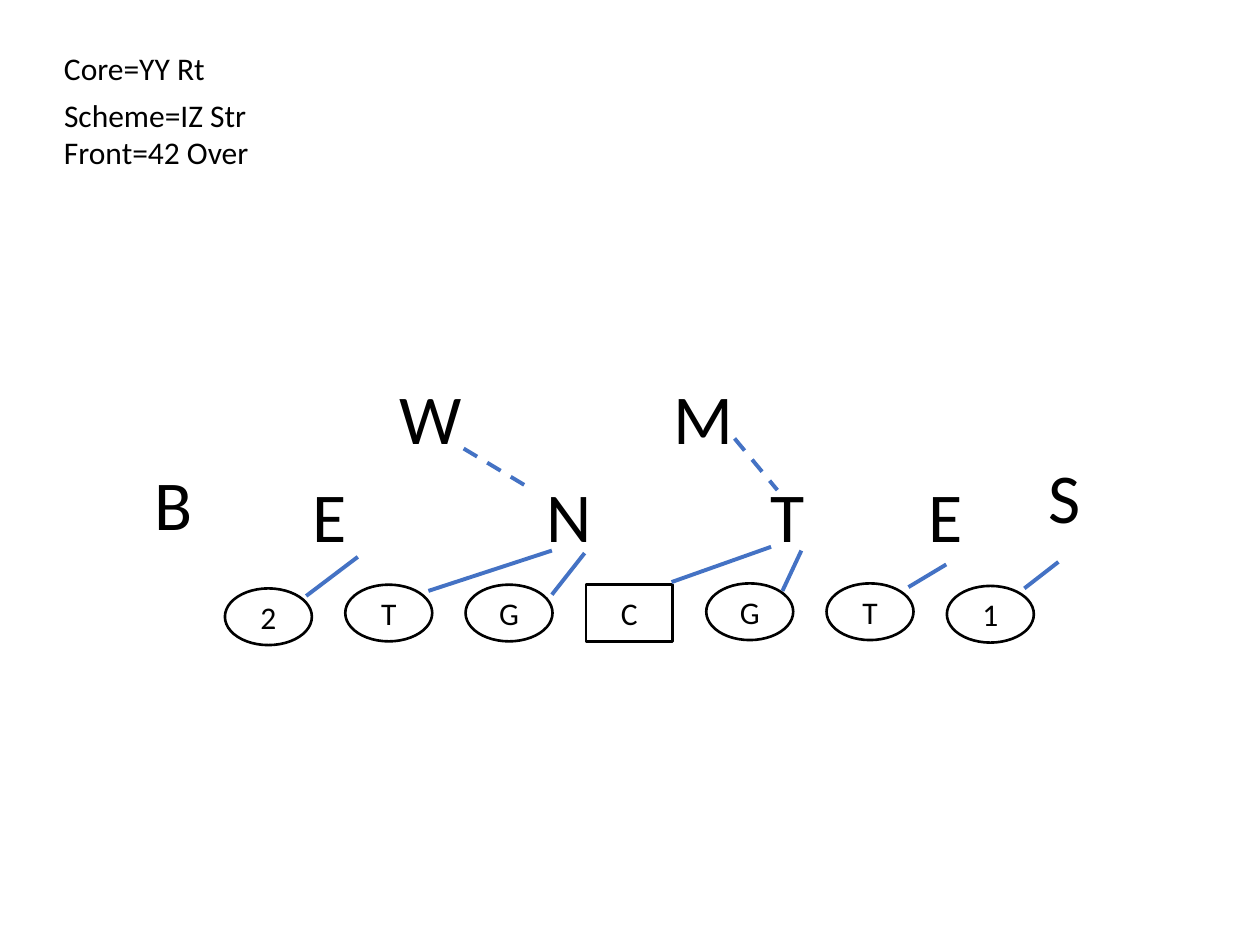
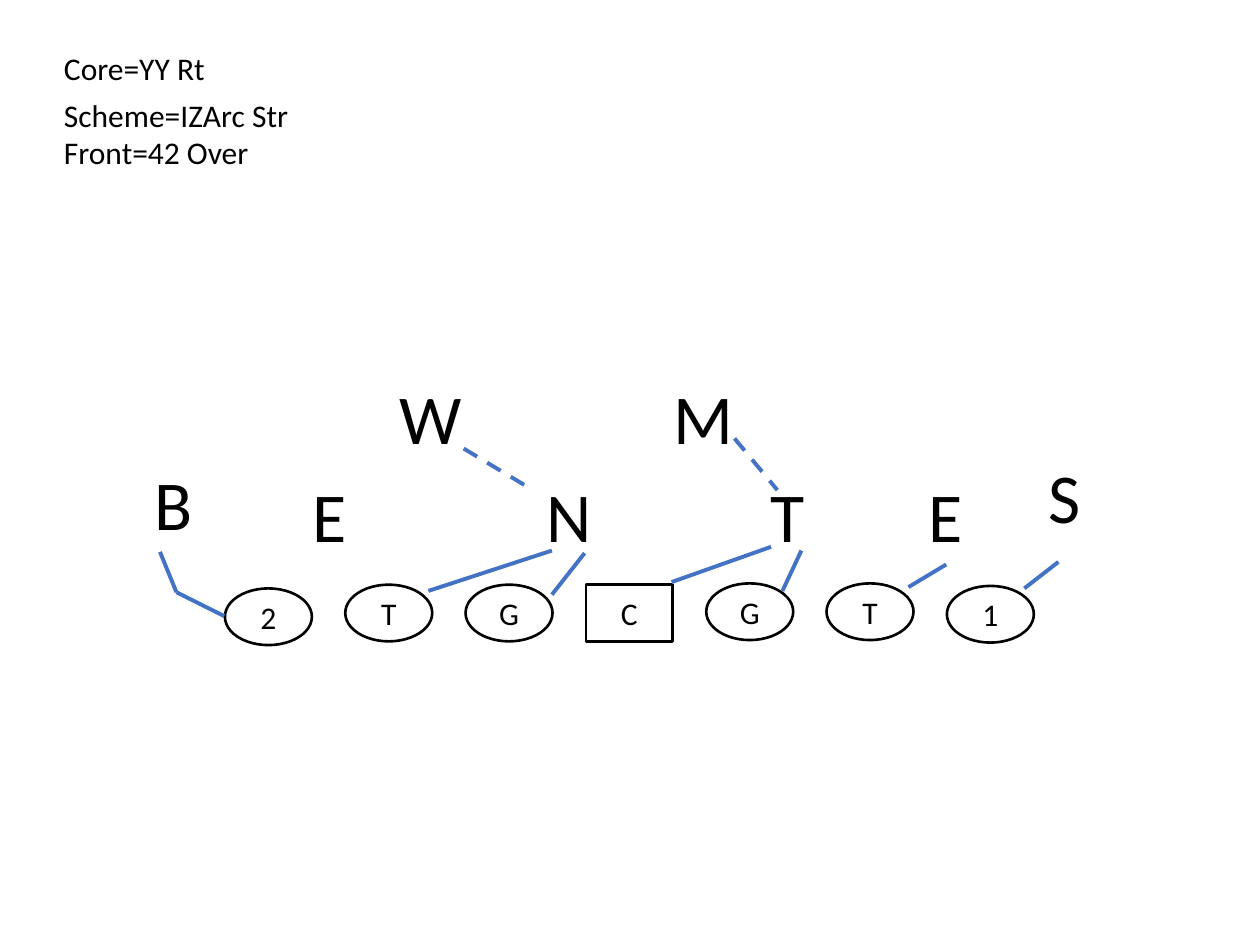
from pptx import Presentation
from pptx.dml.color import RGBColor
from pptx.enum.dml import MSO_LINE
from pptx.enum.shapes import MSO_CONNECTOR, MSO_SHAPE
from pptx.enum.text import MSO_ANCHOR, MSO_AUTO_SIZE, PP_ALIGN
from pptx.oxml.ns import qn
from pptx.util import Inches, Pt

STRAIGHT = MSO_CONNECTOR.STRAIGHT
DASH = MSO_LINE.DASH
OVAL, RECTANGLE = MSO_SHAPE.OVAL, MSO_SHAPE.RECTANGLE
MIDDLE = MSO_ANCHOR.MIDDLE
FIT_SHAPE = MSO_AUTO_SIZE.SHAPE_TO_FIT_TEXT
LEFT, CENTER = PP_ALIGN.LEFT, PP_ALIGN.CENTER

BLACK = RGBColor(0x00, 0x00, 0x00)
WHITE = RGBColor(0xFF, 0xFF, 0xFF)
BLUE = RGBColor(0x44, 0x72, 0xC4)
FONT = "Calibri"

# The slide is a grid of 100 columns by 75 rows
SLIDE_WIDTH, SLIDE_HEIGHT = Inches(10), Inches(7.5)
COLUMN, ROW = SLIDE_WIDTH / 100, SLIDE_HEIGHT / 75

# Origins of the two regions, in columns and rows
CALL_ORIGIN = (4.1, 3.4)
FIELD_ORIGIN = (10, 29)

# Offensive line: label and row, evenly spaced from left to right
LINEMEN = [("2", 17.7), ("T", 17.4), ("G", 17.4), ("C", 17.4),
           ("G", 17.3), ("T", 17.3), ("1", 17.5)]
LINE_START, LINE_PITCH = 7.85, 9.55
LINEMAN_WIDTH, LINEMAN_HEIGHT = 6.9, 4.5

# Defenders: label, column, row, width
DEFENDERS = [("W", 20.7, 0.2, 7), ("M", 42.5, 0.2, 7),
             ("B", 1.3, 7.1, 5.1), ("E", 13.8, 8, 4.8),
             ("N", 32.4, 8, 5.6), ("T", 50.2, 8, 4.8),
             ("E", 62.7, 8, 4.8), ("S", 72.2, 6.5, 4.8)]
DEFENDER_HEIGHT = 7.7

# Assignments, as points on the field
SHARED_BLOCKS = [[(74, 15.6), (71.3, 17.7)], [(65.1, 15.8), (62.1, 17.6)],
                 [(53.6, 14.7), (52.1, 17.9)], [(51.2, 14.4), (43.3, 17.2)],
                 [(36.4, 14.9), (33.8, 18.2)], [(33.8, 14.7), (24, 17.9)]]
CLIMBS = [[(48.3, 5.8), (51.7, 9.9)], [(26.8, 6.6), (31.8, 9.6)]]
BASE_BLOCK = [(18.4, 15.2), (14.3, 18.3)]
ARC_BLOCK = [(7.8, 19.9), (4, 18), (2.7, 14.8)]

# Plays: scheme, width of its label, route of player 2
PLAYS = [("Scheme=IZ Str", 17.2, BASE_BLOCK),
         ("Scheme=IZArc Str", 20, ARC_BLOCK)]


def place(origin, column, row):
    """Turn a grid point within a region into a point on the slide."""
    return round((origin[0] + column) * COLUMN), round((origin[1] + row) * ROW)


def write(frame, text, size=18, align=LEFT):
    para = frame.paragraphs[0]
    para.alignment = align
    span = para.add_run()
    span.text = text
    span.font.name = FONT
    span.font.size = Pt(size)
    span.font.color.rgb = BLACK


def add_label(page, origin, text, column, row, width, height, **style):
    box = page.shapes.add_textbox(*place(origin, column, row),
                                  round(width * COLUMN), round(height * ROW))
    box.text_frame.word_wrap = False
    box.text_frame.auto_size = FIT_SHAPE
    write(box.text_frame, text, **style)


def add_lineman(page, origin, text, column, row):
    kind = RECTANGLE if text == "C" else OVAL
    player = page.shapes.add_shape(kind, *place(origin, column, row),
                                   round(LINEMAN_WIDTH * COLUMN),
                                   round(LINEMAN_HEIGHT * ROW))
    player.shadow.inherit = False
    player.fill.solid()
    player.fill.fore_color.rgb = WHITE
    player.line.color.rgb = BLACK
    player.line.width = Pt(1.5)
    player.text_frame.vertical_anchor = MIDDLE
    write(player.text_frame, text, align=CENTER)


def add_route(page, origin, points, dash=None):
    """Join successive points with straight connectors."""
    for start, end in zip(points, points[1:]):
        line = page.shapes.add_connector(STRAIGHT, *place(origin, *start),
                                         *place(origin, *end))
        line.line.color.rgb = BLUE
        line.line.width = Pt(2.25)
        if dash:
            line.line.dash_style = dash
        properties = line._element.spPr
        properties.append(properties.makeelement(qn("a:effectLst"), {}))


def add_call(page, origin, scheme, scheme_width):
    """Core, scheme and front, one under the other."""
    for text, row, width in [("Core=YY Rt", 0, 13.3),
                             (scheme, 3.7, scheme_width),
                             ("Front=42 Over", 6.7, 17.4)]:
        add_label(page, origin, text, 0, row, width, 4)


def add_field(page, origin, second_route):
    """Both teams and the blocking assignments."""
    for index, (text, row) in enumerate(LINEMEN):
        add_lineman(page, origin, text, LINE_START + index * LINE_PITCH, row)
    for text, column, row, width in DEFENDERS:
        add_label(page, origin, text, column, row, width, DEFENDER_HEIGHT, size=40)
    for points in SHARED_BLOCKS + [second_route]:
        add_route(page, origin, points)
    for points in CLIMBS:
        add_route(page, origin, points, dash=DASH)


def main():
    deck = Presentation()
    deck.slide_width, deck.slide_height = SLIDE_WIDTH, SLIDE_HEIGHT
    blank = deck.slide_layouts[6]
    for scheme, scheme_width, second_route in PLAYS:
        page = deck.slides.add_slide(blank)
        add_call(page, CALL_ORIGIN, scheme, scheme_width)
        add_field(page, FIELD_ORIGIN, second_route)
    deck.save("out.pptx")


if __name__ == "__main__":
    main()
